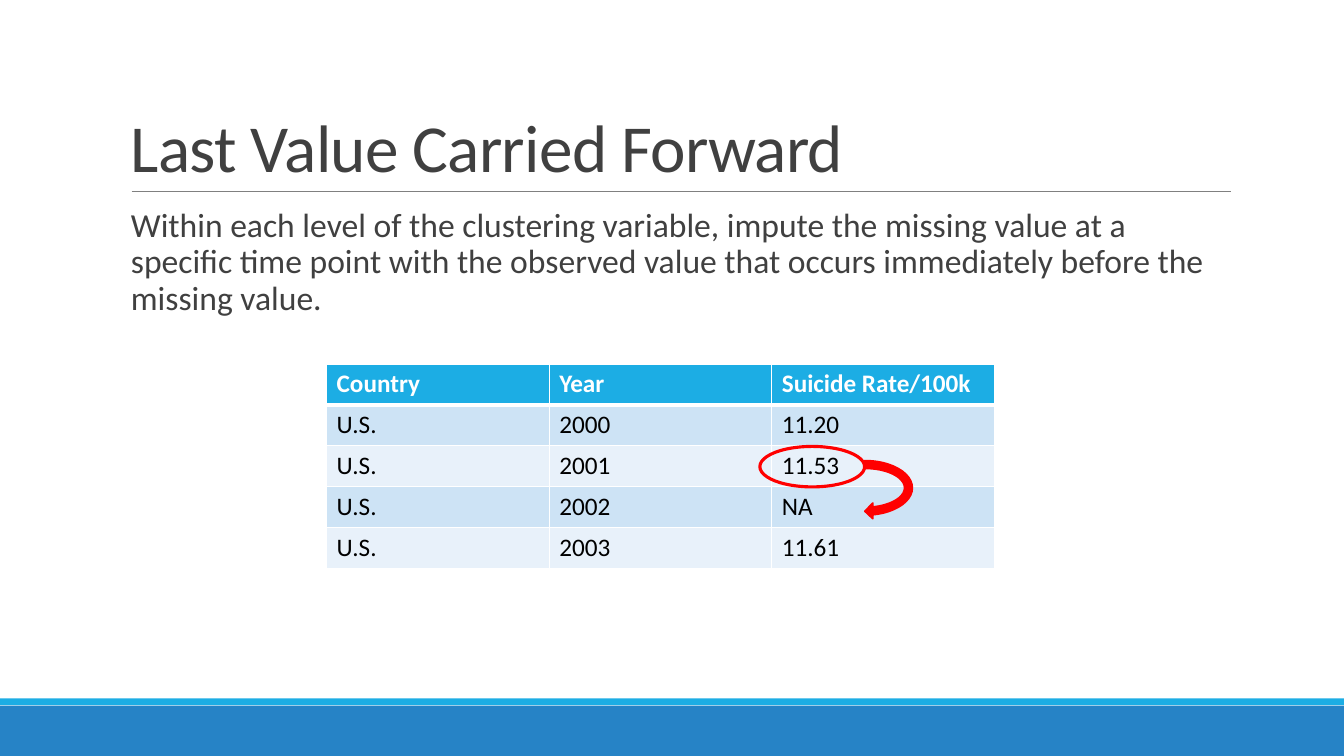
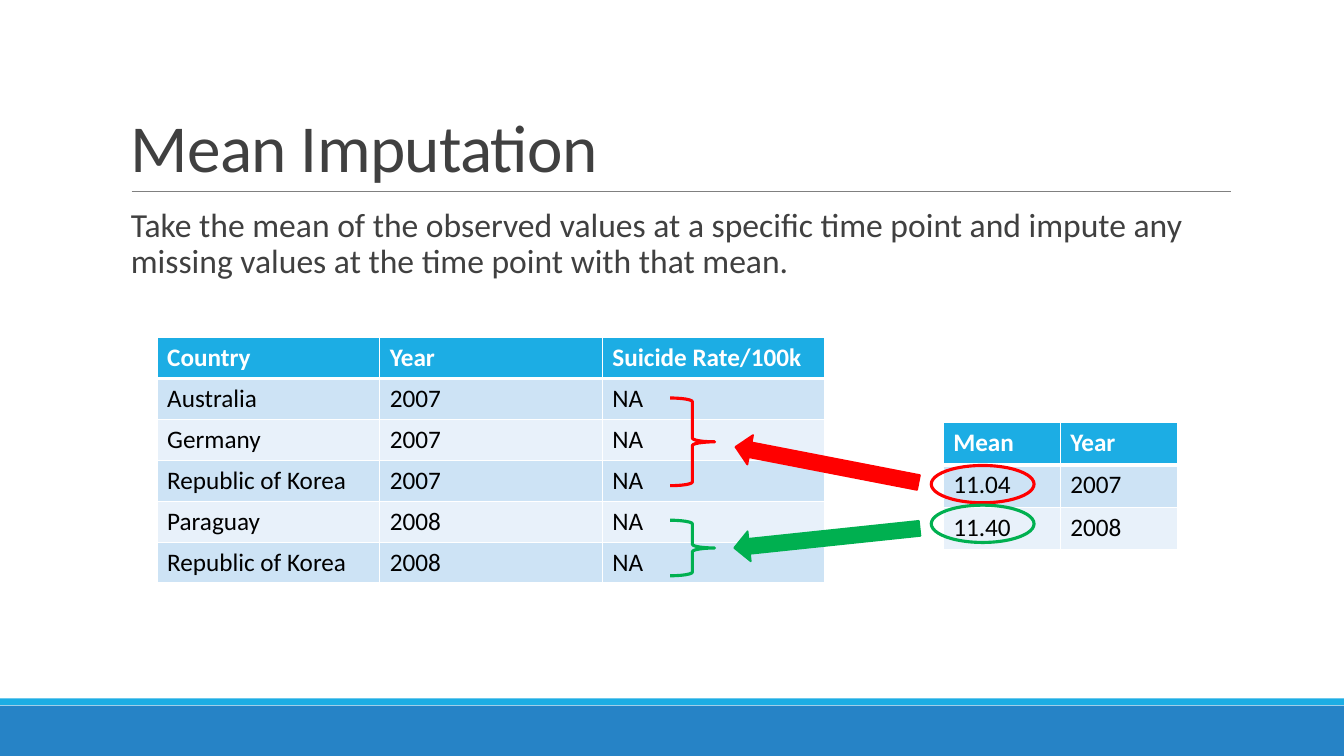
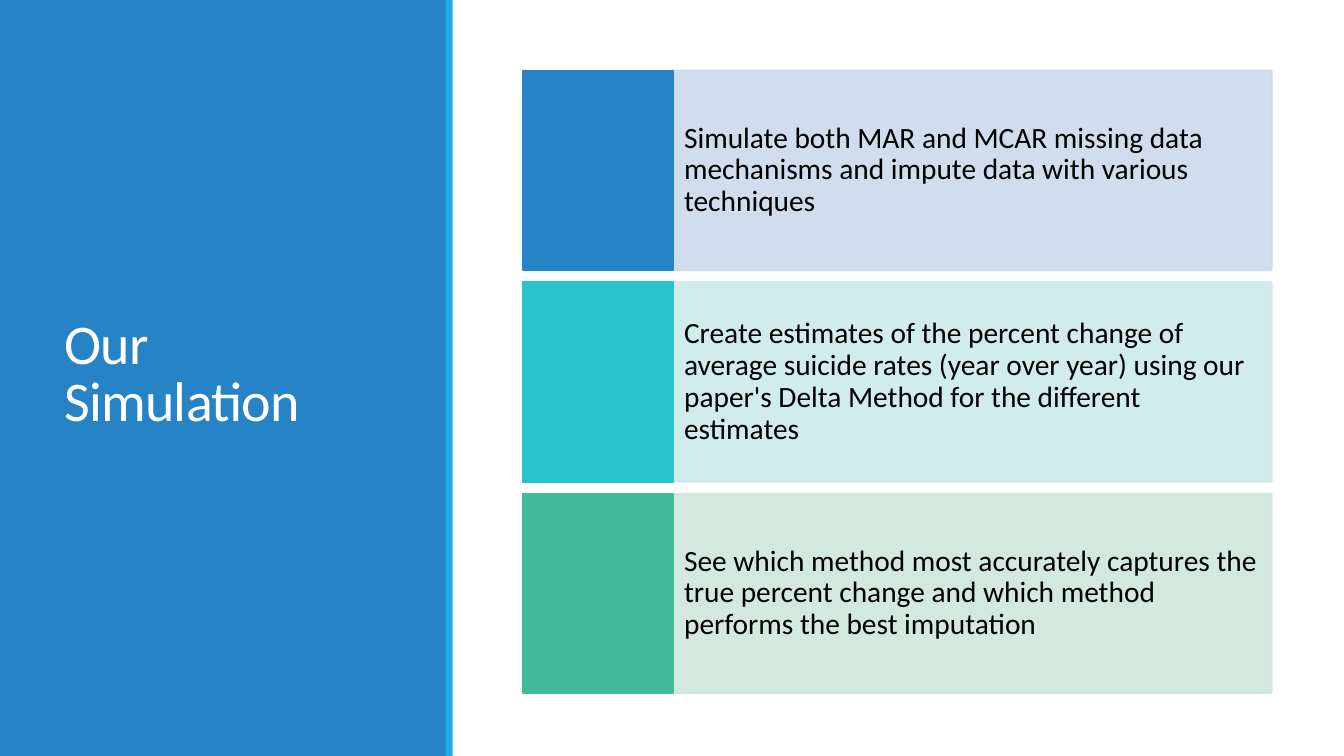
"""Build three slides on imputing missing values and on the simulation."""
from lxml.etree import SubElement
from pptx import Presentation
from pptx.dml.color import RGBColor
from pptx.enum.shapes import MSO_CONNECTOR as Connector, MSO_SHAPE as Shape
from pptx.enum.text import MSO_ANCHOR as Anchor, PP_ALIGN as Align
from pptx.oxml.ns import qn
from pptx.util import Cm, Pt

COLORS = {
    "white": "FFFFFF", "black": "000000", "text": "404040", "rule": "808080",
    "blue": "2683C6", "sky": "1CADE4", "teal": "28C4CC", "mint": "42BA97",
    "pale_blue": "CDD9EA", "pale_teal": "CDEAEC", "pale_mint": "CFE7DD",
    "odd_row": "CDE3F5", "even_row": "E8F1FA", "red": "FF0000", "green": "00B050",
}
FONT = "Calibri"
WIDTH, HEIGHT = 33.87, 19.05
HEADER = ("Country", "Year", "Suicide Rate/100k")
CARDS = [
    ("blue", "pale_blue", "Simulate both MAR and MCAR missing data mechanisms and impute data with various techniques"),
    ("teal", "pale_teal", "Create estimates of the percent change of average suicide rates (year over year) using our paper's Delta Method for the different estimates"),
    ("mint", "pale_mint", "See which method most accurately captures the true percent change and which method performs the best imputation"),
]


def color(name):
    return RGBColor.from_string(COLORS[name])


def set_values(target, values):
    for name, value in values.items():
        setattr(target, name, value)


def write(frame, text, size, ink, bold=False, spacing=None, frame_values=None, para_values=None):
    set_values(frame, {"word_wrap": True, **(frame_values or {})})
    para = frame.paragraphs[0]
    set_values(para, {"alignment": Align.LEFT, **(para_values or {})})
    span = para.add_run()
    span.text = text
    set_values(span.font, {"name": FONT, "size": Pt(size), "bold": bold})
    span.font.color.rgb = color(ink)
    if spacing is not None:
        span.font._element.set("spc", str(spacing))


def add_box(page, place, text, size, ink, **options):
    box = page.shapes.add_textbox(*map(Cm, place))
    write(box.text_frame, text, size, ink, **options)


def add_title(page, place, text, size, ink, anchor):
    add_box(page, place, text, size, ink, spacing=-50,
            frame_values={"vertical_anchor": anchor}, para_values={"line_spacing": 0.85})


def add_figure(page, kind, place, fill=None, line=None, weight=1.25, rotation=0):
    figure = page.shapes.add_shape(kind, *map(Cm, place))
    figure.shadow.inherit = False
    figure.rotation = rotation
    if fill:
        figure.fill.solid()
        figure.fill.fore_color.rgb = color(fill)
    else:
        figure.fill.background()
    if line:
        figure.line.color.rgb = color(line)
        figure.line.width = Pt(weight)
    else:
        figure.line.fill.background()
    return figure


def add_rule(page, left, right, top):
    rule = page.shapes.add_connector(Connector.STRAIGHT, Cm(left), Cm(top), Cm(right), Cm(top))
    rule.line.color.rgb = color("rule")
    rule.line.width = Pt(0.5)
    SubElement(rule._element.spPr, qn("a:effectLst"))


def set_borders(cell, row):
    properties = cell._tc.get_or_add_tcPr()
    weights = {"lnL": 1, "lnR": 1, "lnT": 3 if row == 1 else 1, "lnB": 3 if row == 0 else 1}
    for side, weight in weights.items():
        line = SubElement(properties, qn(f"a:{side}"), w=str(Pt(weight)))
        fill = SubElement(line, qn("a:solidFill"))
        SubElement(fill, qn("a:srgbClr"), val=COLORS["white"])


def add_grid(page, left, top, column_width, row_height, rows):
    columns = len(rows[0])
    table = page.shapes.add_table(
        len(rows), columns, Cm(left), Cm(top),
        Cm(column_width * columns), Cm(row_height * len(rows))).table
    for column in table.columns:
        column.width = Cm(column_width)
    for row, values in enumerate(rows):
        table.rows[row].height = Cm(row_height)
        header = row == 0
        fill = "sky" if header else "odd_row" if row % 2 else "even_row"
        for column, value in enumerate(values):
            cell = table.cell(row, column)
            set_borders(cell, row)
            cell.fill.solid()
            cell.fill.fore_color.rgb = color(fill)
            write(cell.text_frame, value, 18, "white" if header else "black", bold=header)


def add_method_page(deck, title, body):
    page = deck.slides.add_slide(deck.slide_layouts[6])
    add_figure(page, Shape.RECTANGLE, (0, 17.78, WIDTH, 1.27), "blue")
    add_figure(page, Shape.RECTANGLE, (0, 17.6, WIDTH, 0.17), "sky")
    add_rule(page, 3.32, 31.02, 4.83)
    add_title(page, (3.05, 0.79, 27.94, 4.04), title, 48, "text", Anchor.BOTTOM)
    add_box(page, (3.05, 5.13, 27.94, 11.18), body, 24, "text",
            frame_values={"margin_right": 0},
            para_values={"line_spacing": 0.9, "space_before": Pt(12), "space_after": Pt(2)})
    return page


def add_card(page, top, swatch, pale, text):
    height = 5.03
    card = add_figure(page, Shape.RECTANGLE, (16.94, top, 15.11, height), pale, pale)
    for tint in card._element.spPr.iter(qn("a:srgbClr")):
        SubElement(tint, qn("a:alpha"), val="90000")
    margins = {"margin_left": Cm(0.3), "margin_right": Cm(0.3),
               "margin_top": Cm(1.27), "margin_bottom": Cm(1.27)}
    write(card.text_frame, text, 21, "black",
          frame_values={"vertical_anchor": Anchor.MIDDLE, **margins},
          para_values={"line_spacing": 0.9})
    add_figure(page, Shape.RECTANGLE, (13.18, top, 3.78, height), swatch, swatch)


def build_carried_forward(deck):
    page = add_method_page(
        deck, "Last Value Carried Forward",
        "Within each level of the clustering variable, impute the missing value at a specific "
        "time point with the observed value that occurs immediately before the missing value.")
    rates = {"2000": "11.20", "2001": "11.53", "2002": "NA", "2003": "11.61"}
    add_grid(page, 8.23, 9.17, 5.61, 1.03,
             [HEADER] + [("U.S.", year, rate) for year, rate in rates.items()])
    add_figure(page, Shape.OVAL, (19.15, 11.25, 2.64, 1.02), line="red", weight=2.25)
    add_figure(page, Shape.CIRCULAR_ARROW, (21.01, 11, 1.57, 2.59), "red", "red", rotation=90)


def build_mean_imputation(deck):
    page = add_method_page(
        deck, "Mean Imputation",
        "Take the mean of the observed values at a specific time point and impute any "
        "missing values at the time point with that mean.")
    missing = [("Australia", "2007"), ("Germany", "2007"), ("Republic of Korea", "2007"),
               ("Paraguay", "2008"), ("Republic of Korea", "2008")]
    add_grid(page, 3.96, 8.51, 5.61, 1.03, [HEADER] + [(*pair, "NA") for pair in missing])
    add_grid(page, 23.77, 10.64, 2.95, 1.07,
             [("Mean", "Year"), ("11.04", "2007"), ("11.40", "2008")])
    marks = [("red", 10.03, 2.21, 11.73, 11.33, 11), ("green", 13.11, 1.4, 12.73, 13.18, 354)]
    for ink, brace_top, brace_height, oval_top, arrow_top, angle in marks:
        add_figure(page, Shape.RIGHT_BRACE, (16.89, brace_top, 1.12, brace_height),
                   line=ink, weight=2.25)
        add_figure(page, Shape.OVAL, (23.47, oval_top, 2.59, 0.94), line=ink, weight=2.25)
        add_figure(page, Shape.LEFT_ARROW, (18.49, arrow_top, 4.7, 0.76), ink, ink, rotation=angle)


def build_simulation(deck):
    page = deck.slides.add_slide(deck.slide_layouts[6])
    add_figure(page, Shape.RECTANGLE, (0, 0, 11.25, HEIGHT), "blue")
    add_title(page, (1.37, 1.45, 8.56, 16.03), "Our Simulation", 40, "white", Anchor.MIDDLE)
    add_figure(page, Shape.RECTANGLE, (11.23, 0, 0.18, HEIGHT), "sky")
    for index, card in enumerate(CARDS):
        add_card(page, 1.78 + 5.33 * index, *card)


def main():
    deck = Presentation()
    set_values(deck, {"slide_width": Cm(WIDTH), "slide_height": Cm(HEIGHT)})
    build_carried_forward(deck)
    build_mean_imputation(deck)
    build_simulation(deck)
    deck.save("out.pptx")


if __name__ == "__main__":
    main()
